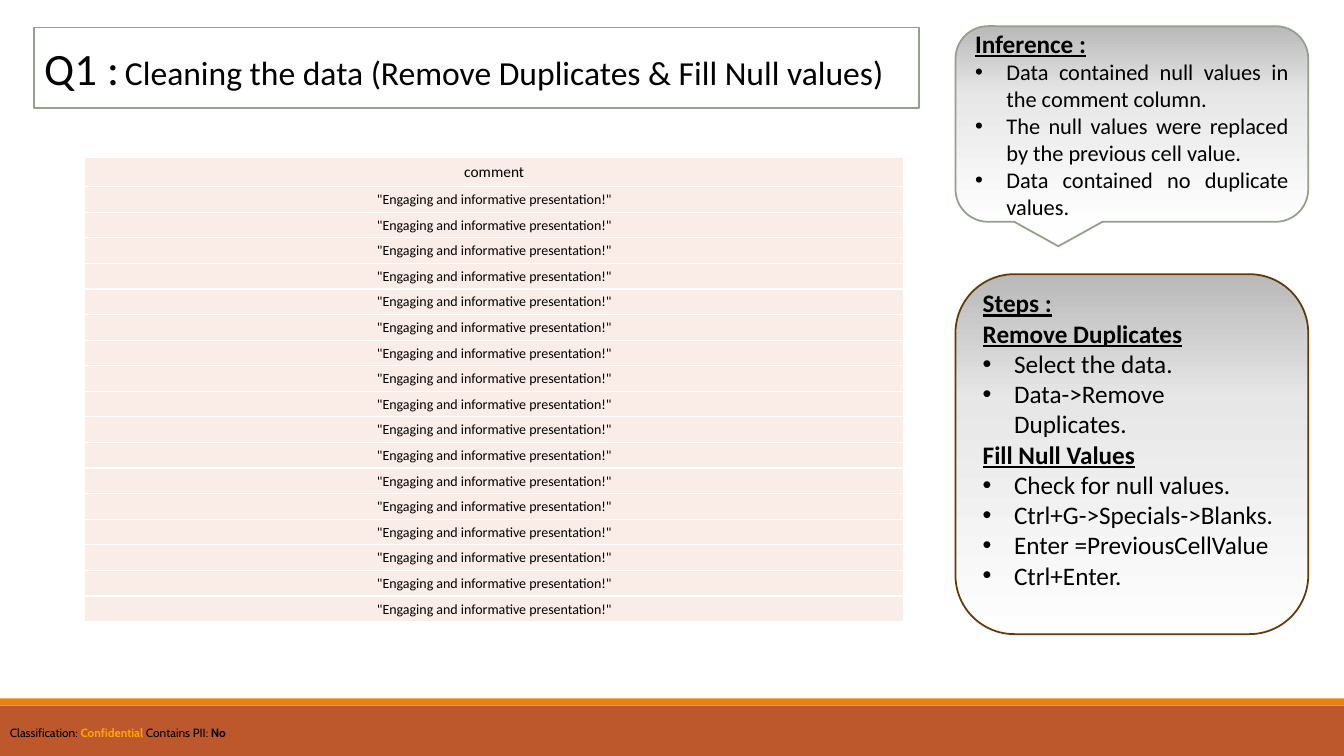
from lxml.etree import SubElement
from pptx import Presentation
from pptx.dml.color import RGBColor
from pptx.enum.shapes import MSO_SHAPE
from pptx.enum.text import MSO_ANCHOR, MSO_AUTO_SIZE, PP_ALIGN
from pptx.oxml.ns import qn
from pptx.util import Cm, Pt

SLIDE_WIDTH, SLIDE_HEIGHT = 33.87, 19.05
BLACK, WHITE, SAGE, BROWN = "000000", "FFFFFF", "94A088", "643908"
PANEL_GRADIENT = [(0, "FEFEFE"), (65, "E7E7E7"), (100, "B9B9B9")]
HEADING = {"bold": True, "underline": True}
PLAIN = {"bold": False, "underline": False}

INFERENCES = [
    "Data contained null values in the comment column.",
    "The null values were replaced by the previous cell value.",
    "Data contained no duplicate values.",
]
STEPS = {
    "Remove Duplicates": ["Select the data.", "Data->Remove Duplicates."],
    "Fill Null Values": [
        "Check for null values.",
        "Ctrl+G->Specials->Blanks.",
        "Enter =PreviousCellValue",
        "Ctrl+Enter.",
    ],
}
COMMENTS = ["comment"] + ['"Engaging and informative presentation!"'] * 17


def color(hex_value):
    return RGBColor.from_string(hex_value)


def set_formats(target, formats):
    for name, value in formats.items():
        setattr(target, name, value)


def add_run(paragraph, text, size, font="Calibri", ink=BLACK, **formats):
    run = paragraph.add_run()
    run.text = text
    set_formats(run.font, {"size": Pt(size), "name": font, **formats})
    run.font.color.rgb = color(ink)


def place(shape, left, top, width, height):
    set_formats(shape, {"left": Cm(left), "top": Cm(top),
                        "width": Cm(width), "height": Cm(height)})


def outline_placeholder(placeholder, box, geometry, line_color):
    """Give a placeholder its position, preset outline and text frame."""
    place(placeholder, *box)
    preset = SubElement(placeholder.element.spPr, qn("a:prstGeom"), prst=geometry)
    SubElement(preset, qn("a:avLst"))
    placeholder.line.color.rgb = color(line_color)
    placeholder.line.width = Pt(1.25)
    frame = placeholder.text_frame
    set_formats(frame, {"word_wrap": True, "auto_size": MSO_AUTO_SIZE.NONE,
                        "vertical_anchor": MSO_ANCHOR.MIDDLE})
    return frame


def fill_gradient(shape):
    shape.fill.background()
    properties = shape.element.spPr
    gradient = properties.find(qn("a:noFill"))
    gradient.tag = qn("a:gradFill")
    stops = SubElement(gradient, qn("a:gsLst"))
    for percent, hex_value in PANEL_GRADIENT:
        stop = SubElement(stops, qn("a:gs"), pos=str(percent * 1000))
        SubElement(stop, qn("a:srgbClr"), val=hex_value)
    SubElement(gradient, qn("a:lin"), ang="16200000", scaled="0")


def write_list(frame, entries, bullet_size, bullet_align):
    """Write (text, is_bullet) entries as headings and bullets."""
    for index, (text, is_bullet) in enumerate(entries):
        paragraph = frame.paragraphs[0] if index == 0 else frame.add_paragraph()
        set_formats(paragraph, {
            "space_before": Pt(0), "line_spacing": 1.0,
            "alignment": bullet_align if is_bullet else PP_ALIGN.LEFT})
        layout = paragraph._p.get_or_add_pPr()
        indent = Cm(0.79) if is_bullet else 0
        layout.set("marL", str(indent))
        layout.set("indent", str(-indent))
        if is_bullet:
            SubElement(layout, qn("a:buFont"), typeface="Arial")
            SubElement(layout, qn("a:buChar"), char="•")
            add_run(paragraph, text, bullet_size, **PLAIN)
        else:
            SubElement(layout, qn("a:buNone"))
            add_run(paragraph, text, 18, **HEADING)


def add_band(slide, top, height, fill):
    band = slide.shapes.add_shape(MSO_SHAPE.RECTANGLE, 0, Cm(top),
                                  Cm(SLIDE_WIDTH), Cm(height))
    band.shadow.inherit = False
    band.fill.solid()
    band.fill.fore_color.rgb = color(fill)
    band.line.fill.background()


def add_classification(slide):
    label = slide.shapes.add_textbox(0, Cm(18.16), Cm(SLIDE_WIDTH), Cm(0.61))
    label.text_frame.word_wrap = True
    paragraph = label.text_frame.paragraphs[0]
    for text, ink, bold in [("Classification: ", BLACK, False),
                            ("Confidential", "FFA500", True),
                            (" Contains PII: ", BLACK, False),
                            ("No", BLACK, True)]:
        add_run(paragraph, text, 8.5, "Cabin", ink, bold=bold)


def border_cell(cell):
    properties = cell._tc.get_or_add_tcPr()
    for position, side in enumerate(("lnL", "lnR", "lnT", "lnB")):
        border = properties.makeelement(qn(f"a:{side}"), {"w": str(Pt(1))})
        solid = SubElement(border, qn("a:solidFill"))
        SubElement(solid, qn("a:srgbClr"), val=WHITE)
        properties.insert(position, border)


def add_comment_table(slide):
    header_height, total_height = 0.74, 11.71
    row_height = (total_height - header_height) / (len(COMMENTS) - 1)
    table = slide.shapes.add_table(len(COMMENTS), 1, Cm(2.13), Cm(3.96),
                                   Cm(20.65), Cm(total_height)).table
    set_formats(table, {"first_row": False, "horz_banding": False})
    for index, comment in enumerate(COMMENTS):
        is_header = index == 0
        table.rows[index].height = Cm(header_height if is_header else row_height)
        cell = table.cell(index, 0)
        set_formats(cell, {"margin_left": Cm(0.02), "margin_right": Cm(0.02),
                           "margin_top": Cm(0.02), "margin_bottom": 0,
                           "vertical_anchor": MSO_ANCHOR.MIDDLE})
        cell.fill.solid()
        cell.fill.fore_color.rgb = color("FAEDE7")
        border_cell(cell)
        paragraph = cell.text_frame.paragraphs[0]
        paragraph.alignment = PP_ALIGN.CENTER
        add_run(paragraph, comment, 11 if is_header else 10)


def write_title(title):
    frame = outline_placeholder(title, (0.86, 0.69, 22.3, 2.03), "roundRect", SAGE)
    title.fill.solid()
    title.fill.fore_color.rgb = color(WHITE)
    paragraph = frame.paragraphs[0]
    paragraph.alignment = PP_ALIGN.LEFT
    for text, size in [("Q1 :", 32), (" ", 18),
                       ("Cleaning the data (Remove Duplicates & Fill Null values)", 24)]:
        add_run(paragraph, text, size)


def main():
    presentation = Presentation()
    set_formats(presentation, {"slide_width": Cm(SLIDE_WIDTH),
                               "slide_height": Cm(SLIDE_HEIGHT)})
    slide = presentation.slides.add_slide(presentation.slide_layouts[3])
    title, inference, steps = slide.placeholders

    # Footer bands and classification
    add_band(slide, 17.78, 1.27, "BD582C")
    add_band(slide, 17.6, 0.18, "E48312")
    add_classification(slide)

    # Question and cleaned data
    write_title(title)
    add_comment_table(slide)

    # Inference callout
    frame = outline_placeholder(inference, (24.08, 0.66, 8.89, 4.93),
                                "wedgeRoundRectCallout", SAGE)
    fill_gradient(inference)
    entries = [("Inference :", False)] + [(text, True) for text in INFERENCES]
    write_list(frame, entries, 16, PP_ALIGN.JUSTIFY)

    # Steps panel
    frame = outline_placeholder(steps, (24.08, 6.91, 8.89, 9.07), "roundRect", BROWN)
    fill_gradient(steps)
    frame.margin_bottom = Cm(0.89)
    entries = [("Steps :", False)]
    for heading, actions in STEPS.items():
        entries += [(heading, False)] + [(action, True) for action in actions]
    write_list(frame, entries, 18, PP_ALIGN.LEFT)

    presentation.save("out.pptx")


if __name__ == "__main__":
    main()
